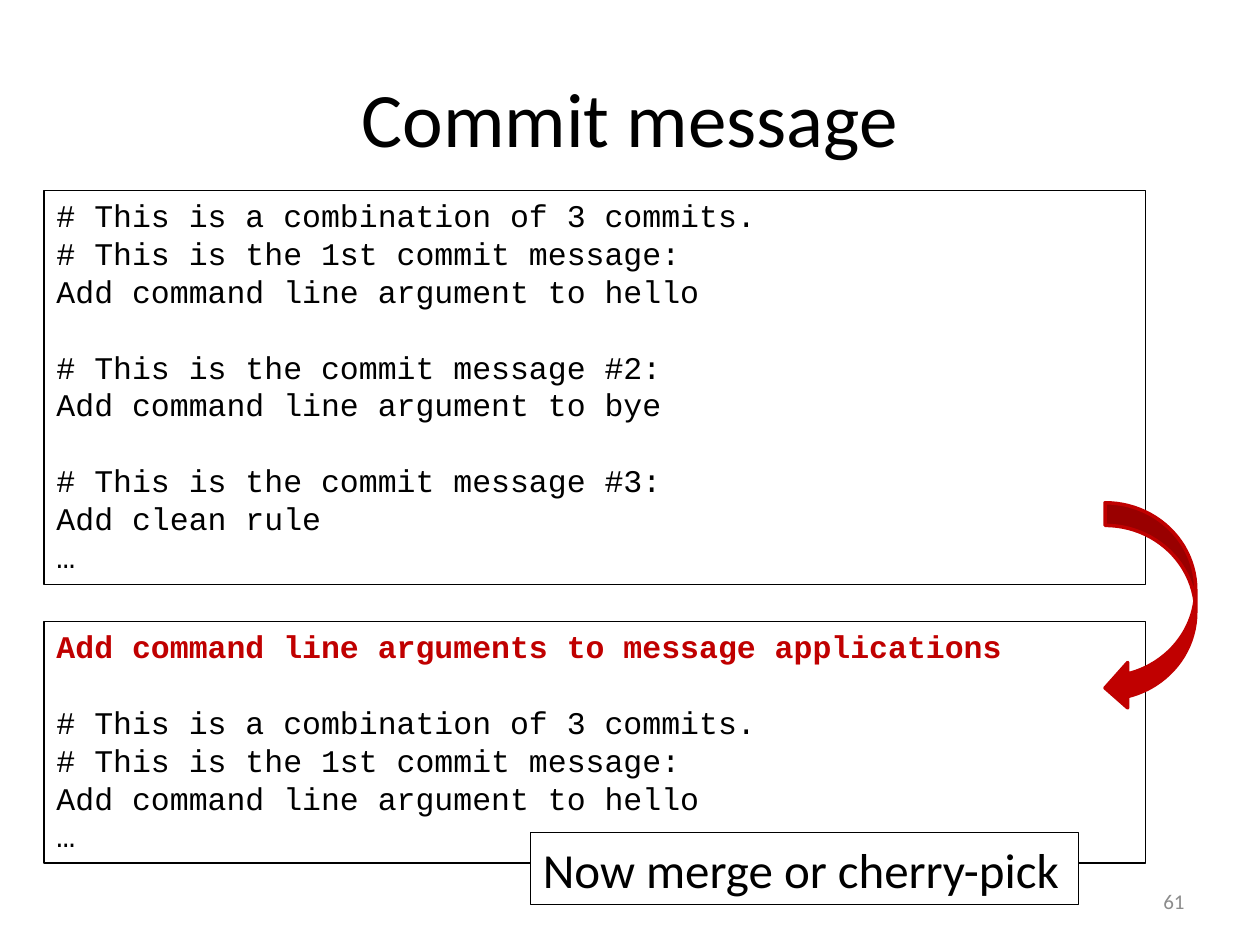
from dataclasses import dataclass

from pptx import Presentation
from pptx.dml.color import RGBColor
from pptx.enum.shapes import MSO_SHAPE
from pptx.enum.text import MSO_ANCHOR as Anchor, MSO_AUTO_SIZE as AutoSize, PP_ALIGN as Align
from pptx.slide import Slide
from pptx.util import Inches, Pt

BLACK = RGBColor(0x00, 0x00, 0x00)
WHITE = RGBColor(0xFF, 0xFF, 0xFF)
GREY = RGBColor(0x8C, 0x8C, 0x8C)
RED = RGBColor(0xC0, 0x00, 0x00)

CODE_LEFT, CODE_WIDTH = 0.35, 8.74
CODE_LINE = Pt(21.6)


@dataclass(frozen=True)
class Line:
    text: str
    color: RGBColor = BLACK
    bold: bool = False
    gap_before: bool = False


@dataclass(frozen=True)
class TextBox:
    left: float
    top: float
    width: float
    height: float
    lines: tuple[Line, ...]
    size: int
    font: str = "Calibri"
    align: Align = Align.LEFT
    anchor: Anchor = Anchor.TOP
    framed: bool = False
    fill: RGBColor | None = None
    wrap: bool = True


FIRST_COMMIT = (
    Line("# This is the 1st commit message:"),
    Line("Add command line argument to hello"),
)
SUMMARY = "# This is a combination of 3 commits."
ELLIPSIS = Line("…")

COMBINED = (
    Line(SUMMARY),
    *FIRST_COMMIT,
    Line("# This is the commit message #2:", gap_before=True),
    Line("Add command line argument to bye"),
    Line("# This is the commit message #3:", gap_before=True),
    Line("Add clean rule"),
    ELLIPSIS,
)
EDITED = (
    Line("Add command line arguments to message applications", RED, bold=True),
    Line(SUMMARY, gap_before=True),
    *FIRST_COMMIT,
    ELLIPSIS,
)


def code_box(top: float, height: float, lines: tuple[Line, ...]) -> TextBox:
    return TextBox(CODE_LEFT, top, CODE_WIDTH, height, lines, 18, "Courier New", framed=True)


TITLE = TextBox(0.5, 0.3, 9, 1.25, (Line("Commit message"),), 44,
                align=Align.CENTER, anchor=Anchor.MIDDLE)
PAGE_NUMBER = TextBox(7.17, 6.95, 2.33, 0.4, (Line("61", GREY),), 12,
                      align=Align.RIGHT, anchor=Anchor.MIDDLE)
NEXT_STEP = TextBox(4.21, 6.61, 4.35, 0.57, (Line("Now merge or cherry-pick"),), 28,
                    framed=True, fill=WHITE, wrap=False)


def draw_text(page: Slide, spec_box: TextBox) -> None:
    box = page.shapes.add_textbox(Inches(spec_box.left), Inches(spec_box.top),
                                  Inches(spec_box.width), Inches(spec_box.height))
    if spec_box.fill is not None:
        box.fill.solid()
        box.fill.fore_color.rgb = spec_box.fill
    frame = box.text_frame
    frame.word_wrap = spec_box.wrap
    frame.vertical_anchor = spec_box.anchor
    if spec_box.framed:
        box.line.color.rgb = BLACK
        box.line.width = Pt(0.75)
        frame.auto_size = AutoSize.SHAPE_TO_FIT_TEXT
    for index, line in enumerate(spec_box.lines):
        para = frame.add_paragraph() if index else frame.paragraphs[0]
        para.alignment = spec_box.align
        if line.gap_before:
            para.space_before = CODE_LINE
        span = para.add_run()
        span.text = line.text
        span.font.name = spec_box.font
        span.font.size = Pt(spec_box.size)
        span.font.bold = line.bold
        span.font.color.rgb = line.color


def draw_arrow(page: Slide) -> None:
    arrow = page.shapes.add_shape(MSO_SHAPE.CURVED_LEFT_ARROW, Inches(8.77), Inches(3.99),
                                  Inches(0.72), Inches(1.65))
    arrow.shadow.inherit = False
    arrow.fill.solid()
    arrow.fill.fore_color.rgb = RED
    arrow.line.color.rgb = RED
    arrow.line.width = Pt(2)


def main() -> None:
    """Build the slide on editing a combined commit message."""
    deck = Presentation()
    deck.slide_width, deck.slide_height = Inches(10), Inches(7.5)
    page = deck.slides.add_slide(deck.slide_layouts[6])
    for box in (TITLE, PAGE_NUMBER, code_box(1.51, 3.13, COMBINED), code_box(4.93, 1.92, EDITED)):
        draw_text(page, box)
    draw_arrow(page)
    draw_text(page, NEXT_STEP)
    deck.save("out.pptx")


if __name__ == "__main__":
    main()
